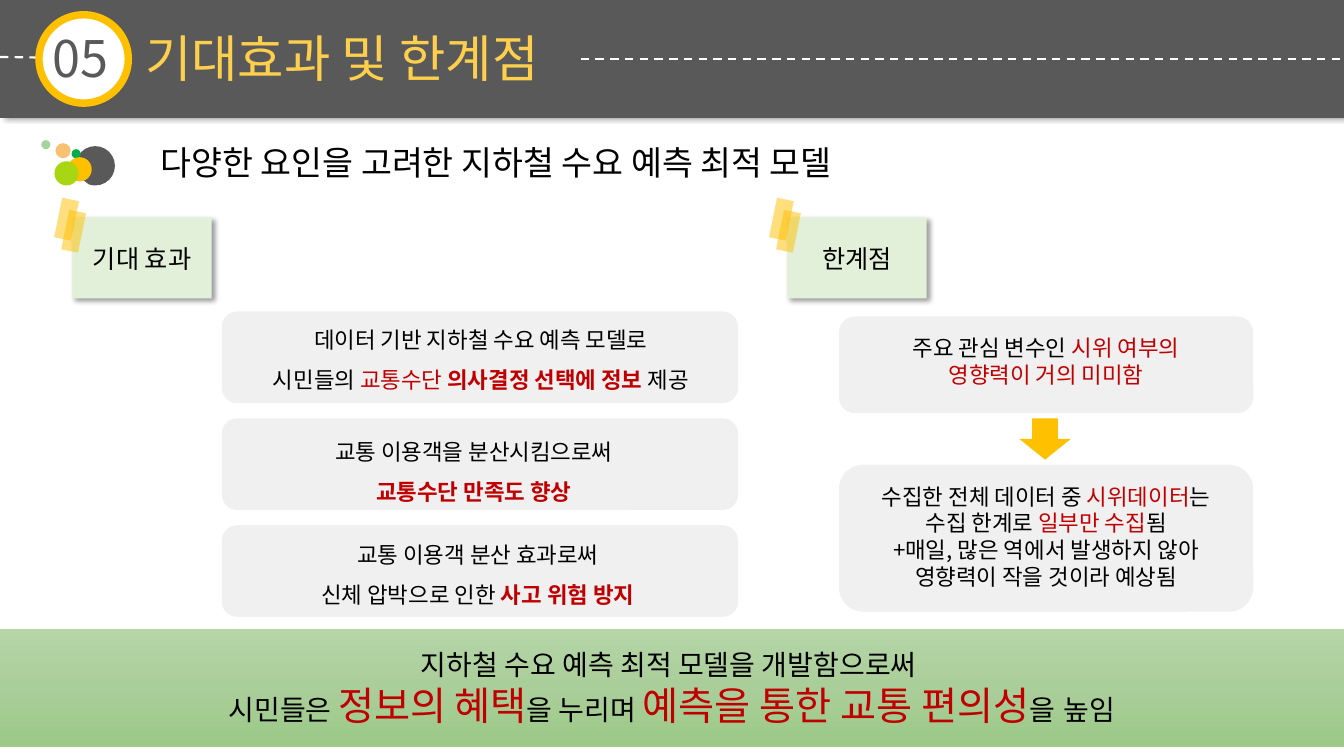
from lxml import etree
from pptx import Presentation
from pptx.dml.color import RGBColor
from pptx.enum.dml import MSO_LINE
from pptx.enum.shapes import MSO_CONNECTOR, MSO_SHAPE as Preset
from pptx.enum.text import MSO_ANCHOR, MSO_AUTO_SIZE, PP_ALIGN
from pptx.oxml import parse_xml
from pptx.oxml.ns import nsdecls, qn
from pptx.util import Inches, Pt

FONT = "Noto Sans CJK KR"
WHITE = RGBColor(0xFF, 0xFF, 0xFF)
BLACK = RGBColor(0, 0, 0)
GRAY = RGBColor(0x59, 0x59, 0x59)
PALE_GRAY = RGBColor(0xF0, 0xF0, 0xF0)
AMBER = RGBColor(0xFF, 0xC0, 0x00)
TITLE_YELLOW = RGBColor(0xFD, 0xCF, 0x4D)
NOTE_GREEN = RGBColor(0xE2, 0xF0, 0xD9)
RED = RGBColor(0xC0, 0, 0)
PEACH = RGBColor(0xF7, 0xC1, 0x72)
SAGE = RGBColor(0xA5, 0xD3, 0x9E)
GREEN = RGBColor(0x00, 0xAE, 0x4D)
LIME = RGBColor(0xA8, 0xD6, 0x12)
BAND_STOPS = [(0, "B5D5A7"), (50, "AACE9A"), (100, "9CC987")]
SLIDE_W, SLIDE_H = 13.33, 7.5


def add_block(slide, preset, box, color):
    """Add a flat filled shape without outline; box is left, top, width, height."""
    block = slide.shapes.add_shape(preset, *map(Inches, box))
    block.shadow.inherit = False
    block.fill.solid()
    block.fill.fore_color.rgb = color
    block.line.fill.background()
    return block


def add_shadow(block, degrees):
    effects = block._element.spPr.find(qn("a:effectLst"))
    effects.append(parse_xml(
        f'<a:outerShdw {nsdecls("a")} blurRad="{Pt(4)}" dist="{Pt(3)}" '
        f'dir="{degrees * 60000}" algn="tl" rotWithShape="0">'
        '<a:srgbClr val="000000"><a:alpha val="40000"/></a:srgbClr></a:outerShdw>'))


def add_dashes(slide, start, end):
    dashes = slide.shapes.add_connector(
        MSO_CONNECTOR.STRAIGHT, *map(Inches, start + end))
    dashes.line.color.rgb = WHITE
    dashes.line.width = Pt(1.5)
    dashes.line.dash_style = MSO_LINE.DASH
    etree.SubElement(dashes._element.spPr, qn("a:effectLst"))


def write(frame, lines, size, align=PP_ALIGN.CENTER, spaced=False):
    """Fill a frame; each line is a list of (text, color, bold, size) with optional ends."""
    for number, line in enumerate(lines):
        paragraph = frame.add_paragraph() if number else frame.paragraphs[0]
        paragraph.alignment = align
        if spaced:
            properties = paragraph._p.get_or_add_pPr()
            properties.set("marL", str(Inches(0.25)))
            properties.set("indent", "0")
            paragraph.line_spacing = 1.07
            paragraph.space_after = Pt(8)
        for text, color, *extra in line:
            bold, run_size = (extra + [False, size][len(extra):])[:2]
            run = paragraph.add_run()
            run.text = text
            run.font.size = Pt(run_size)
            run.font.bold = bold
            run.font.color.rgb = color
            run.font.name = FONT
            etree.SubElement(run._r.get_or_add_rPr(), qn("a:ea"), typeface=FONT)


def add_text(slide, box, lines, size, wrap=True, **style):
    label = slide.shapes.add_textbox(*map(Inches, box))
    frame = label.text_frame
    frame.word_wrap = wrap
    frame.auto_size = MSO_AUTO_SIZE.SHAPE_TO_FIT_TEXT
    write(frame, lines, size, **style)
    return label


def add_header(slide, height):
    bar = add_block(slide, Preset.RECTANGLE, (0, 0, SLIDE_W, height), GRAY)
    add_shadow(bar, 0)
    middle = height / 2
    add_dashes(slide, (5.76, middle), (SLIDE_W, middle))
    add_dashes(slide, (0, middle - 0.02), (1.31, middle))
    add_block(slide, Preset.OVAL, (0.38, 0.14, 0.89, 0.87), WHITE)
    ring = add_block(slide, Preset.DONUT, (0.35, 0.11, 0.96, 0.95), AMBER)
    ring.adjustments[0] = 0.077
    add_text(slide, (0.42, 0.22, 0.85, 0.71), [[("05", GRAY)]], 36,
             wrap=False, align=PP_ALIGN.LEFT)
    title = add_text(slide, (1.34, 0.22, 4.56, 0.71),
                     [[("기대효과 및 한계점", TITLE_YELLOW)]], 36, align=PP_ALIGN.LEFT)
    run = title.text_frame.paragraphs[0].runs[0]
    run._r.get_or_add_rPr().insert(0, parse_xml(
        f'<a:ln {nsdecls("a")} w="{Pt(0.25)}"><a:solidFill><a:srgbClr val="000000">'
        '<a:alpha val="48000"/></a:srgbClr></a:solidFill></a:ln>'))


def add_subtitle(slide, left, top):
    add_text(slide, (left + 0.71, top - 0.03, 7.6, 0.5),
             [[("다양한 요인을 고려한 지하철 수요 예측 최적 모델", BLACK)]], 24, wrap=False)
    dots = [(0.14, 0.03, 0.15, PEACH), (0, 0, 0.09, SAGE), (0.34, 0.06, 0.39, GRAY),
            (0.3, 0.09, 0.09, GREEN), (0.26, 0.17, 0.24, AMBER), (0.13, 0.21, 0.24, LIME)]
    for dx, dy, diameter, color in dots:
        preset = Preset.CHORD if color == GRAY else Preset.OVAL
        dot = add_block(slide, preset, (left + dx, top + dy, diameter, diameter), color)
        if preset == Preset.CHORD:
            # Angles are in 60000ths of a degree, adjustments in 100000ths
            dot.adjustments[0] = 148.33 * 0.6
            dot.adjustments[1] = 109.5 * 0.6


def add_taped_note(slide, left, top, heading):
    note = add_block(slide, Preset.RECTANGLE, (left, top, 1.38, 0.8), NOTE_GREEN)
    add_shadow(note, 45)
    note.text_frame.vertical_anchor = MSO_ANCHOR.MIDDLE
    write(note.text_frame, [[(heading, BLACK)]], 18)
    for dx, dy in [(-0.26, -0.07), (-0.19, 0.05)]:
        tape = add_block(slide, Preset.RECTANGLE, (left + dx, top + dy, 0.4, 0.17), AMBER)
        tape.rotation = 101.5
        tape_color = tape._element.spPr.find(qn("a:solidFill"))[0]
        etree.SubElement(tape_color, qn("a:alpha"), val="51000")


def add_effects(slide, left, top):
    add_taped_note(slide, left, top, "기대 효과")
    # Each effect: text box left, offset below its card, width, lines
    effects = [
        (1.68, 0.08, 5.93, [[("데이터 기반 지하철 수요 예측 모델로", BLACK)],
                            [("시민들의 ", BLACK), ("교통수단 ", RED),
                             ("의사결정 선택에 정보 ", RED, True), ("제공", BLACK)]]),
        (2.74, 0.13, 3.67, [[("교통 이용객을 분산시킴으로써", BLACK)],
                            [("교통수단 만족도 향상", RED, True)]]),
        (2.48, 0.09, 4.27, [[("교통 이용객 분산 효과로써", BLACK)],
                            [("신체 압박으로 인한 ", BLACK),
                             ("사고 위험 방지", RED, True)]]),
    ]
    for row, (text_left, drop, width, lines) in enumerate(effects):
        card_top = top + 0.93 + row * 1.06
        add_block(slide, Preset.ROUNDED_RECTANGLE,
                  (left + 1.48, card_top, 5.12, 0.91), PALE_GRAY)
        add_text(slide, (text_left, card_top + drop, width, 0.75), lines, 16, spaced=True)


def add_limits(slide, left, top):
    add_taped_note(slide, left, top, "한계점")
    arrow = add_block(slide, Preset.RIGHT_ARROW,
                      (left + 2.35, top + 1.94, 0.41, 0.51), AMBER)
    arrow.rotation = 90
    limits = [
        (0.98, 0.96, [[("주요 관심 변수인 ", BLACK), ("시위 여부의", RED)],
                      [("영향력이 거의 미미함", RED)]]),
        (2.45, 1.46, [[("수집한 전체 데이터 중 ", BLACK), ("시위데이터", RED), ("는", BLACK)],
                      [("수집 한계로 ", BLACK), ("일부만 수집", RED), ("됨", BLACK)],
                      [("+매일, 많은 역에서 발생하지 않아", BLACK)],
                      [("영향력이 작을 것이라 예상됨", BLACK)]]),
    ]
    for drop, height, lines in limits:
        card_left, card_top = left + 0.51, top + drop
        add_block(slide, Preset.ROUNDED_RECTANGLE,
                  (card_left, card_top, 4.11, height), PALE_GRAY)
        add_text(slide, (card_left, card_top + 0.13, 4.11, height - 0.3), lines, 16)


def add_conclusion(slide, top, height):
    band = add_block(slide, Preset.RECTANGLE, (0, top, SLIDE_W, height), NOTE_GREEN)
    stops = "".join(f'<a:gs pos="{at * 1000}"><a:srgbClr val="{color}"/></a:gs>'
                    for at, color in BAND_STOPS)
    properties = band._element.spPr
    properties.replace(properties.find(qn("a:solidFill")), parse_xml(
        f'<a:gradFill {nsdecls("a")} rotWithShape="1"><a:gsLst>{stops}</a:gsLst>'
        '<a:lin ang="5400000" scaled="0"/></a:gradFill>'))
    band.text_frame.vertical_anchor = MSO_ANCHOR.MIDDLE
    write(band.text_frame, [
        [("지하철 수요 예측 최적 모델을 개발함으로써 ", BLACK)],
        [("시민들은 ", BLACK), ("정보의 혜택", RED, False, 28), ("을 누리며 ", BLACK),
         ("예측을 통한 교통 편의성", RED, False, 28), ("을", BLACK),
         (" ", RED, False, 28), ("높임", BLACK)],
    ], 20)


def main():
    deck = Presentation()
    deck.slide_width, deck.slide_height = Inches(SLIDE_W), Inches(SLIDE_H)
    slide = deck.slides.add_slide(deck.slide_layouts[6])
    add_header(slide, 1.17)
    add_subtitle(slide, 0.41, 1.39)
    add_effects(slide, 0.72, 2.16)
    add_limits(slide, 7.81, 2.16)
    add_conclusion(slide, 6.24, 1.17)
    deck.save("out.pptx")


if __name__ == "__main__":
    main()
